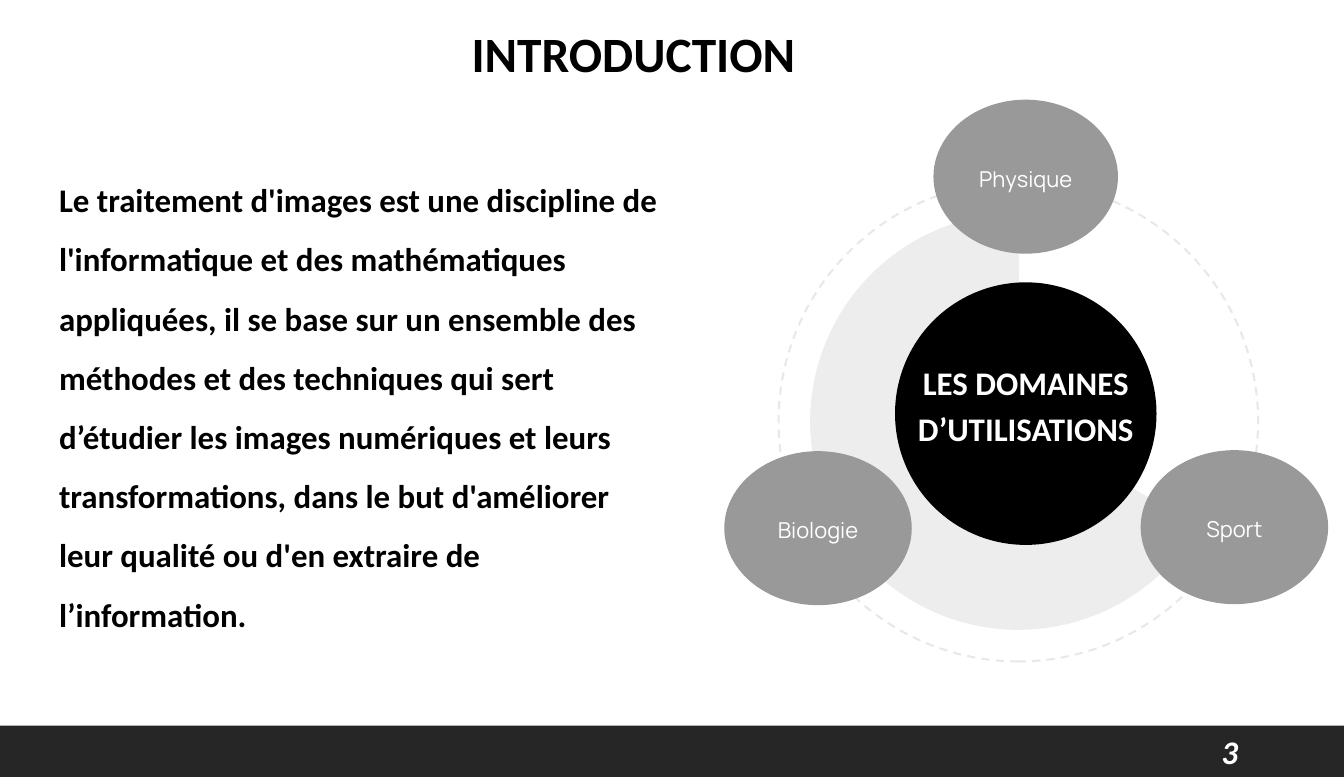
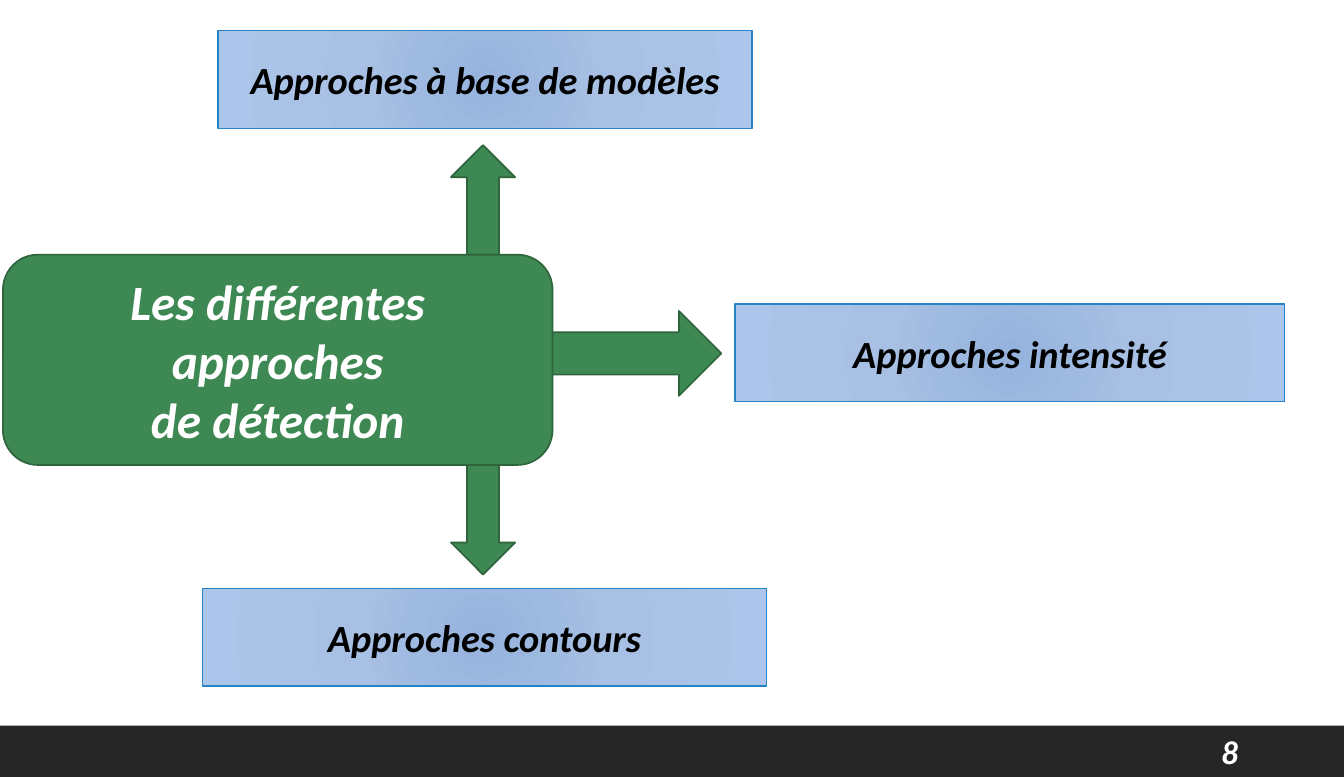
from dataclasses import dataclass

from lxml import etree
from pptx import Presentation
from pptx import util as u
from pptx.dml import color
from pptx.enum import dml, shapes, text
from pptx.oxml import ns, parse_xml

EMU_PER_PX = 9144  # 100 px to the inch
SLIDE_WIDTH, SLIDE_HEIGHT = 1362, 787
SHAPE = shapes.MSO_SHAPE
CENTER = text.PP_ALIGN.CENTER
MIDDLE = text.MSO_ANCHOR.MIDDLE


@dataclass(frozen=True)
class Theme:
    black: str = "000000"
    white: str = "FFFFFF"
    band: str = "262626"
    ring: str = "E8E8E8"
    satellite: str = "999999"
    green: str = "3E8853"
    green_line: str = "2E653D"
    blue_line: str = "2683C6"
    blue_stops: tuple = ((0, "95B3DD"), (45, "A7C0E3"), (100, "ACC6EB"))
    main_font: str = "Calibri"
    label_font: str = "Manrope"
    heading: int = 36
    approach: int = 28
    body: int = 24
    label: int = 16


THEME = Theme()


def px(length):
    return u.Emu(round(length * EMU_PER_PX))


def rgb(value):
    return color.RGBColor.from_string(value)


def font_format(size, ink, name=THEME.main_font, bold=True, italic=False):
    return {"size": u.Pt(size), "name": name, "bold": bold, "italic": italic,
            "ink": ink}


TITLE = font_format(THEME.heading, THEME.black)
BODY = font_format(THEME.body, THEME.black)
HUB = font_format(THEME.body, THEME.white)
PAGE_NUMBER = font_format(THEME.body, THEME.white, italic=True)
SATELLITE = font_format(THEME.label, THEME.white, THEME.label_font, bold=False)
TOPIC = font_format(THEME.heading, THEME.white, italic=True)
APPROACH = font_format(THEME.approach, THEME.black, italic=True)


def write_text(shape, lines, font, frame=None, **paragraph_format):
    """Fill a shape with one paragraph per line."""
    text_frame = shape.text_frame
    text_frame.word_wrap = True
    for name, value in (frame or {}).items():
        setattr(text_frame, name, value)
    text_frame.text = "\n".join(lines)
    for paragraph in text_frame.paragraphs:
        for name, value in paragraph_format.items():
            setattr(paragraph, name, value)
        for name, value in font.items():
            if name == "ink":
                paragraph.font.color.rgb = rgb(value)
            else:
                setattr(paragraph.font, name, value)


def add_text(slide, box, lines, font, frame=None, **paragraph_format):
    shape = slide.shapes.add_textbox(*map(px, box))
    write_text(shape, lines, font, frame, **paragraph_format)


def add_figure(slide, kind, box, fill=None, line=None, line_width=1.25):
    shape = slide.shapes.add_shape(kind, *map(px, box))
    shape.shadow.inherit = False
    if fill:
        shape.fill.solid()
        shape.fill.fore_color.rgb = rgb(fill)
    else:
        shape.fill.background()
    if line:
        shape.line.color.rgb = rgb(line)
        shape.line.width = u.Pt(line_width)
    else:
        shape.line.fill.background()
    return shape


def set_opacity(shape, percent):
    ink = shape._element.spPr.find(ns.qn("a:solidFill")).find(ns.qn("a:srgbClr"))
    etree.SubElement(ink, ns.qn("a:alpha"), val=str(percent * 1000))


def set_radial_fill(shape, stops):
    stop_xml = "".join(
        f'<a:gs pos="{position * 1000}"><a:srgbClr val="{ink}"/></a:gs>'
        for position, ink in stops)
    gradient = parse_xml(
        f'<a:gradFill {ns.nsdecls("a")}><a:gsLst>{stop_xml}</a:gsLst>'
        '<a:path path="circle"><a:fillToRect l="100000" t="100000" '
        'r="100000" b="100000"/></a:path></a:gradFill>')
    properties = shape._element.spPr
    properties.replace(properties.find(ns.qn("a:noFill")), gradient)


def add_base_slide(presentation, number):
    """Add a blank slide with the footer band and its page number."""
    slide = presentation.slides.add_slide(presentation.slide_layouts[6])
    add_figure(slide, SHAPE.RECTANGLE, (0, 735, SLIDE_WIDTH, 52), THEME.band)
    add_text(slide, (1228, 740, 87, 42), [str(number)], PAGE_NUMBER,
             {"vertical_anchor": MIDDLE})
    return slide


def add_domain_wheel(slide, left, top, hub_text, domains):
    """Place a hub inside a ring, with three domains around it."""
    def at(x, y, width, height):
        return left + x, top + y, width, height

    ring_x, ring_y, ring_size, inset = 55, 83, 486, 32
    ring = add_figure(slide, SHAPE.OVAL, at(ring_x, ring_y, ring_size, ring_size),
                      line=THEME.ring, line_width=1.5)
    ring.line.dash_style = dml.MSO_LINE.DASH
    ring.rotation = 270

    pie_size = ring_size - 2 * inset
    pie = add_figure(slide, SHAPE.PIE,
                     at(ring_x + inset, ring_y + inset, pie_size, pie_size),
                     THEME.black)
    for index, degrees in enumerate((30.19, 270.25)):
        pie.adjustments[index] = degrees * 0.6
    set_opacity(pie, 7)

    margins = {f"margin_{side}": px(13)
               for side in ("left", "top", "right", "bottom")}
    frame = {"vertical_anchor": MIDDLE, **margins}
    add_figure(slide, SHAPE.OVAL, at(173, 185, 265, 266), THEME.black)
    add_text(slide, at(173, 235, 265, 143), [hub_text], HUB, frame,
             alignment=CENTER, line_spacing=1.15)

    boxes = (212, 0, 187, 156), (0, 356, 190, 156), (422, 355, 190, 156)
    for domain, box in zip(domains, boxes):
        satellite = add_figure(slide, SHAPE.OVAL, at(*box), THEME.satellite)
        write_text(satellite, [domain], SATELLITE, {"vertical_anchor": MIDDLE},
                   alignment=CENTER, line_spacing=1.15)


def add_approach_map(slide, left, top, topic, approaches):
    """Place a topic with arrows up, right and down to its approaches."""
    def at(x, y, width, height):
        return left + x, top + y, width, height

    arrows = (
        (SHAPE.UP_ARROW, (454, 116, 65, 111)),
        (SHAPE.RIGHT_ARROW, (556, 284, 172, 86)),
        (SHAPE.DOWN_ARROW, (454, 440, 65, 111)),
    )
    for kind, box in arrows:
        add_figure(slide, kind, at(*box), THEME.green, THEME.green_line)

    topic_box = add_figure(slide, SHAPE.ROUNDED_RECTANGLE, at(0, 227, 557, 213),
                           THEME.green, THEME.green_line)
    write_text(topic_box, topic, TOPIC,
               {"margin_left": px(20), "margin_right": px(20),
                "vertical_anchor": MIDDLE}, alignment=CENTER)

    boxes = (218, 0, 541), (742, 277, 557), (202, 565, 572)
    for approach, (x, y, width) in zip(approaches, boxes):
        card = add_figure(slide, SHAPE.RECTANGLE, at(x, y, width, 99),
                          line=THEME.blue_line, line_width=1)
        set_radial_fill(card, THEME.blue_stops)
        write_text(card, [approach], APPROACH, {"vertical_anchor": MIDDLE},
                   alignment=CENTER)


def add_introduction(presentation):
    slide = add_base_slide(presentation, 3)
    add_domain_wheel(slide, 734, 101, "LES DOMAINES D’UTILISATIONS",
                     ["Physique", "Biologie", "Sport"])
    body_box = slide.shapes.add_textbox(*map(px, (50, 157, 631, 489)))
    first_paragraph = body_box.text_frame.paragraphs[0]
    write_text(body_box, [
        "Le traitement d'images est une discipline de l'informatique et des "
        "mathématiques appliquées, il se base sur un ensemble des méthodes et "
        "des techniques qui sert d’étudier les images numériques et leurs "
        "transformations, dans le but d'améliorer leur qualité ou d'en "
        "extraire de l’information."], BODY, line_spacing=1.5)
    first_paragraph._p.get_or_add_pPr().set("indent", str(px(22)))
    add_text(slide, (434, 19, 416, 71), ["INTRODUCTION"], TITLE,
             alignment=CENTER)


def add_approaches(presentation):
    slide = add_base_slide(presentation, 8)
    add_approach_map(slide, 3, 31,
                     ["Les différentes approches", "de détection"],
                     ["Approches à base de modèles", "Approches intensité",
                      "Approches contours"])


def main():
    presentation = Presentation()
    presentation.slide_width = px(SLIDE_WIDTH)
    presentation.slide_height = px(SLIDE_HEIGHT)
    add_introduction(presentation)
    add_approaches(presentation)
    presentation.save("out.pptx")


if __name__ == "__main__":
    main()
